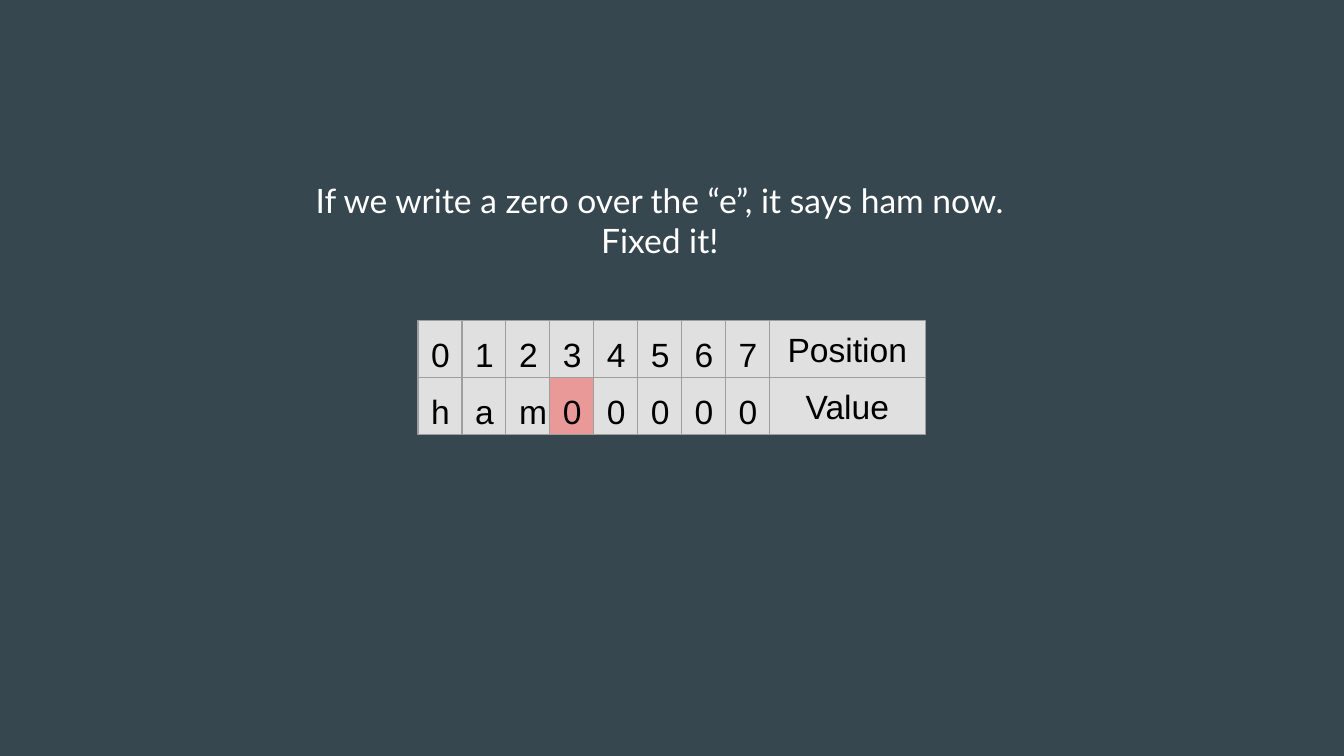
from dataclasses import dataclass

from pptx import Presentation
from pptx.dml.color import RGBColor
from pptx.enum.shapes import MSO_SHAPE
from pptx.enum.text import MSO_ANCHOR, PP_ALIGN
from pptx.slide import Slide
from pptx.text.text import TextFrame
from pptx.util import Cm, Pt

COLORS = {
    "background": "37474F",
    "cell": "E0E0E0",
    "overwritten": "EA9999",
    "border": "9E9E9E",
    "cell text": "000000",
    "message": "FFFFFF",
}

# Memory grid, in centimetres
GRID_LEFT, GRID_TOP = 7.9, 6.06
CELL_WIDTH, ROW_HEIGHT, LABEL_WIDTH = 0.83, 1.08, 2.95
INSET = 0.25
OVERWRITTEN_POSITION = 3


@dataclass
class Row:
    label: str
    values: str


@dataclass
class Cell:
    text: str
    left: float
    top: float
    width: float = CELL_WIDTH
    fill: str = "cell"
    anchor: MSO_ANCHOR = MSO_ANCHOR.TOP


ROWS = [Row("Position", "01234567"), Row("Value", "ham00000")]


def color(name: str) -> RGBColor:
    return RGBColor.from_string(COLORS[name])


def set_text(frame: TextFrame, text: str, font: str, text_color: str) -> None:
    frame.text = text
    frame.word_wrap = True
    frame.margin_left = frame.margin_right = Cm(INSET)
    frame.margin_top = frame.margin_bottom = Cm(INSET)
    for paragraph in frame.paragraphs:
        paragraph.alignment = PP_ALIGN.CENTER
        for run in paragraph.runs:
            run.font.name = font
            run.font.size = Pt(18)
            run.font.color.rgb = color(text_color)


def draw_cell(slide: Slide, cell: Cell) -> None:
    box = slide.shapes.add_shape(
        MSO_SHAPE.RECTANGLE,
        Cm(cell.left), Cm(cell.top), Cm(cell.width), Cm(ROW_HEIGHT),
    )
    box.shadow.inherit = False
    box.fill.solid()
    box.fill.fore_color.rgb = color(cell.fill)
    box.line.color.rgb = color("border")
    box.line.width = Pt(0.75)
    set_text(box.text_frame, cell.text, "Arial", "cell text")
    box.text_frame.vertical_anchor = cell.anchor


def draw_row(slide: Slide, row: Row, top: float) -> None:
    for position, value in enumerate(row.values):
        overwritten = row.label == "Value" and position == OVERWRITTEN_POSITION
        fill = "overwritten" if overwritten else "cell"
        left = GRID_LEFT + position * CELL_WIDTH
        draw_cell(slide, Cell(value, left, top, fill=fill))
    label_left = GRID_LEFT + len(row.values) * CELL_WIDTH
    draw_cell(slide, Cell(row.label, label_left, top, LABEL_WIDTH,
                          anchor=MSO_ANCHOR.MIDDLE))


def main() -> None:
    presentation = Presentation()
    presentation.slide_width, presentation.slide_height = Cm(25.4), Cm(14.29)
    slide = presentation.slides.add_slide(presentation.slide_layouts[6])
    slide.background.fill.solid()
    slide.background.fill.fore_color.rgb = color("background")

    # Positions and the values stored there
    for index, row in enumerate(ROWS):
        draw_row(slide, row, GRID_TOP + index * ROW_HEIGHT)

    # Message above the grid
    message = slide.shapes.add_textbox(Cm(3.4), Cm(3.15), Cm(18.14), Cm(2.9))
    set_text(
        message.text_frame,
        "If we write a zero over the “e”, it says ham now.\nFixed it!",
        "Lato",
        "message",
    )

    presentation.save("out.pptx")


if __name__ == "__main__":
    main()
